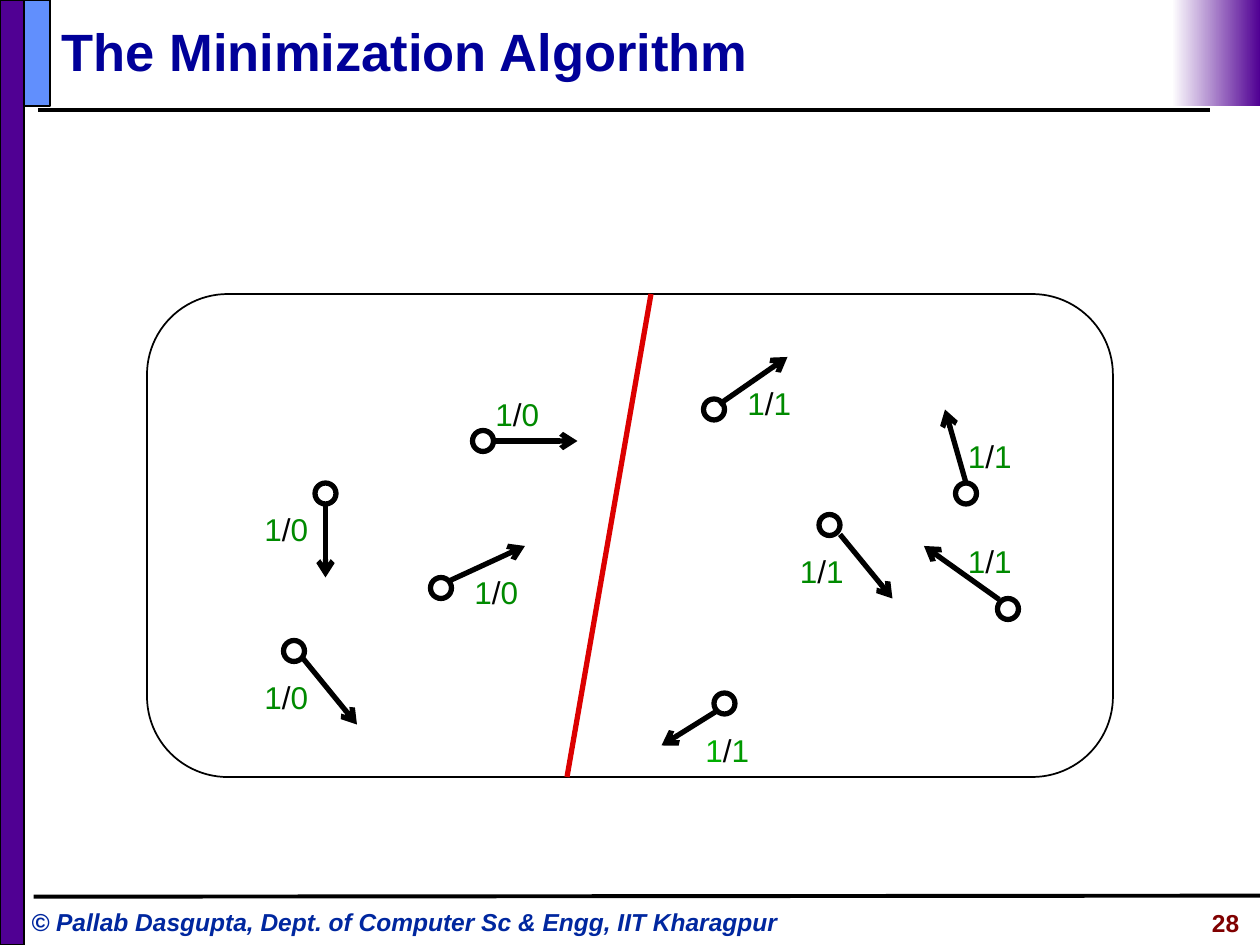
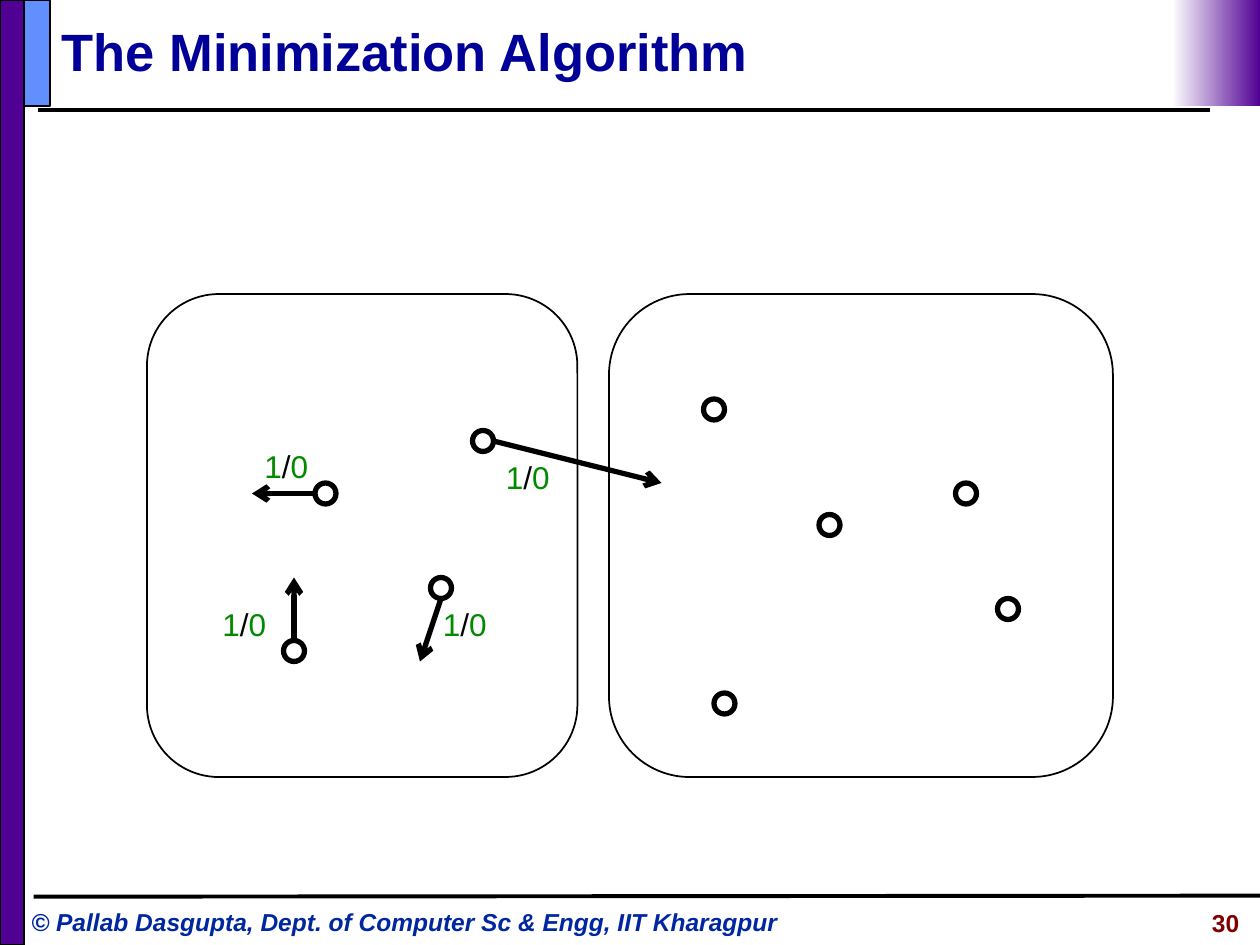
from lxml import etree
from pptx import Presentation
from pptx.dml.color import RGBColor
from pptx.enum.shapes import MSO_CONNECTOR, MSO_SHAPE
from pptx.enum.text import MSO_ANCHOR, PP_ALIGN
from pptx.oxml.ns import qn
from pptx.util import Inches, Pt

STRAIGHT = MSO_CONNECTOR.STRAIGHT
RECTANGLE, ROUNDED, OVAL = MSO_SHAPE.RECTANGLE, MSO_SHAPE.ROUNDED_RECTANGLE, MSO_SHAPE.OVAL
LEFT, RIGHT = PP_ALIGN.LEFT, PP_ALIGN.RIGHT
TOP, MIDDLE = MSO_ANCHOR.TOP, MSO_ANCHOR.MIDDLE

BLACK = RGBColor(0x00, 0x00, 0x00)
WHITE = RGBColor(0xFF, 0xFF, 0xFF)
PURPLE = RGBColor(0x50, 0x00, 0x93)
SKY = RGBColor(0x61, 0x8F, 0xFD)
NAVY = RGBColor(0x00, 0x00, 0x99)
BLUE = RGBColor(0x00, 0x27, 0x9F)
MAROON = RGBColor(0x80, 0x00, 0x00)
RED = RGBColor(0xDC, 0x00, 0x00)
GREEN = RGBColor(0x00, 0x8A, 0x00)
BRIGHT_GREEN = RGBColor(0x00, 0xAE, 0x00)
MID_GREEN = RGBColor(0x00, 0x99, 0x00)

FONT = "Arial"
COLUMNS, ROWS = 120, 90
TITLE = "The Minimization Algorithm"
FOOTER = "© Pallab Dasgupta, Dept. of Computer Sc & Engg, IIT Kharagpur"

STATES = {
    "A": (30, 46), "B": (41, 55), "C": (91, 46), "D": (95, 57), "E": (45, 41),
    "F": (67, 38), "G": (27, 61), "H": (68, 66), "I": (78, 49),
}
FIRST_MOVES = [
    ((31, 48), (31, 55), (24, 48), "1/0"),
    ((42.84, 55.3), (50, 52), (44, 54), "1/0"),
    ((92, 46), (90, 39), (91, 41), "1/1"),
    ((95.16, 57.1), (88, 52), (91, 51), "1/1"),
    ((47, 42), (55, 42), (46, 37), "1/0"),
    ((68.5, 38.5), (75, 34), (70, 36), "1/1"),
    ((28.8, 62.64), (34, 69), (24, 64), "1/0"),
    ((80, 50.9), (85, 57), (75, 52), "1/1"),
]
LAST_MOVE = ((68.3, 67.7), (63, 71), (66, 69), "1/1")
SECOND_MOVES = [
    ((47, 42), (63, 46), (47, 43), "1/0"),
    ((30, 47), (24, 47), (24, 42), "1/0"),
    ((28, 61), (28, 55), (20, 57), "1/0"),
    ((42, 57), (40, 63), (41, 57), "1/0"),
]


def write(box, spans, size=18, bold=False, italic=False, align=LEFT, anchor=TOP):
    """Fill a text box with one paragraph of (text, colour) spans."""
    frame = box.text_frame
    frame.word_wrap = True
    frame.vertical_anchor = anchor
    para = frame.paragraphs[0]
    para.alignment = align
    for text, colour in spans:
        span = para.add_run()
        span.text = text
        span.font.name = FONT
        span.font.size = Pt(size)
        span.font.bold = bold
        span.font.italic = italic
        span.font.color.rgb = colour


class Diagram:
    """Draws partition diagrams on a grid of columns and rows."""

    def __init__(self):
        """Open a deck of 10 by 7.5 inch pages."""
        self.deck = Presentation()
        self.deck.slide_width = Inches(10)
        self.deck.slide_height = Inches(7.5)
        self.page = None

    def place(self, column, row):
        """Turn a grid position or extent into lengths."""
        return (round(self.deck.slide_width * column / COLUMNS),
                round(self.deck.slide_height * row / ROWS))

    def shape(self, kind, corner, extent, fill=None, line=BLACK, width=1):
        """Add a preset shape without shadow."""
        shape = self.page.shapes.add_shape(kind, *self.place(*corner), *self.place(*extent))
        shape.shadow.inherit = False
        if fill is None:
            shape.fill.background()
        else:
            shape.fill.solid()
            shape.fill.fore_color.rgb = fill
        if line is None:
            shape.line.fill.background()
        else:
            shape.line.color.rgb = line
            shape.line.width = Pt(width)
        return shape

    def line(self, start, end, colour=BLACK, width=3, arrow=False):
        """Add a straight line, with an arrowhead at its end if asked."""
        line = self.page.shapes.add_connector(STRAIGHT, *self.place(*start), *self.place(*end))
        line.line.color.rgb = colour
        line.line.width = Pt(width)
        if arrow:
            etree.SubElement(line.line._get_or_add_ln(), qn("a:tailEnd"), type="arrow")
        etree.SubElement(line._element.spPr, qn("a:effectLst"))

    def text(self, corner, extent, spans, **style):
        """Add a text box."""
        box = self.page.shapes.add_textbox(*self.place(*corner), *self.place(*extent))
        write(box, spans, **style)

    def block(self, corner, extent):
        """Add the rounded outline of a block of states."""
        self.shape(ROUNDED, corner, extent).adjustments[0] = 0.167

    def states(self):
        """Add a ring for every state."""
        for corner in STATES.values():
            self.shape(OVAL, corner, (2, 2), width=3)

    def move(self, start, end, label, text, tints=(GREEN, GREEN)):
        """Add a transition arrow with its input/output label."""
        self.line(start, end, arrow=True)
        before, after = text.split("/")
        spans = [(before, tints[0]), ("/", BLACK), (after, tints[1])]
        self.text(label, (8, 4.8), spans)

    def start_page(self, number):
        """Add a page with bands, rules, title and footer."""
        self.page = self.deck.slides.add_slide(self.deck.slide_layouts[6])
        self.line((3.6, 10.44), (115.2, 10.44), width=2.25)
        self.text((1.8, 85.8), (76.4, 4.1), [(FOOTER, BLUE)], size=14, bold=True, italic=True)
        self.shape(RECTANGLE, (0, 0), (2.28, ROWS), fill=PURPLE)
        self.line((3.2, 85.4), (COLUMNS, 85.3), width=2.25)
        self.shape(RECTANGLE, (2.28, 0), (2.5, 10.1), fill=SKY)
        fade = self.shape(RECTANGLE, (111.6, 0), (8.4, 10.1), line=None)
        fade.fill.gradient()
        fade.fill.gradient_angle = 180
        for stop, colour in zip(fade.fill.gradient_stops, (PURPLE, WHITE)):
            stop.color.rgb = colour
        self.text((4.7, 1.2), (109.2, 7.3), [(TITLE, NAVY)], size=30, bold=True, anchor=MIDDLE)
        self.text((98.2, 85.9), (21, 4.2), [(str(number), MAROON)],
                  size=14, bold=True, align=RIGHT)


def main():
    """Build both pages and save the deck."""
    diagram = Diagram()

    diagram.start_page(28)
    diagram.block((14, 28), (92, 46))
    diagram.states()
    for move in FIRST_MOVES:
        diagram.move(*move)
    diagram.move(*LAST_MOVE, tints=(BRIGHT_GREEN, MID_GREEN))
    diagram.line((62, 28), (54, 74), colour=RED)

    diagram.start_page(30)
    diagram.states()
    diagram.block((58, 28), (48, 46))
    diagram.block((14, 28), (41, 46))
    for move in SECOND_MOVES:
        diagram.move(*move)

    diagram.deck.save("out.pptx")


if __name__ == "__main__":
    main()
